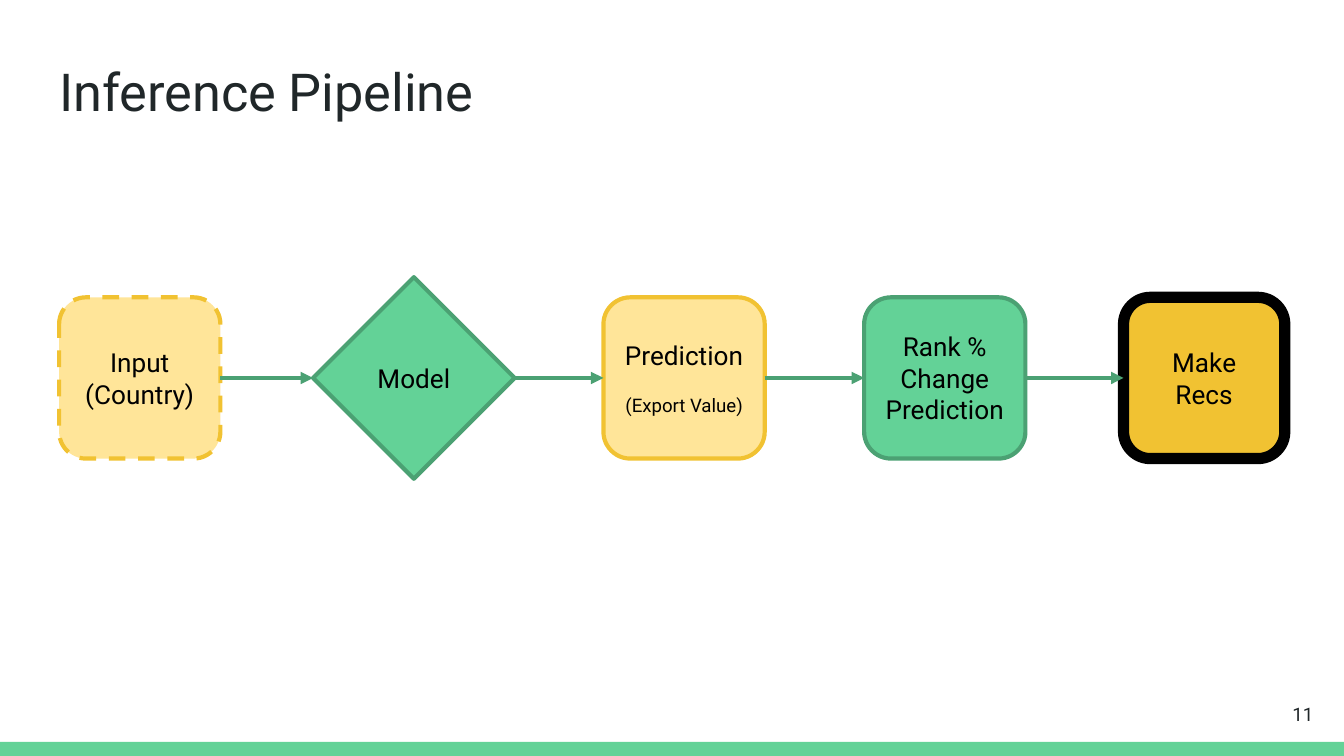
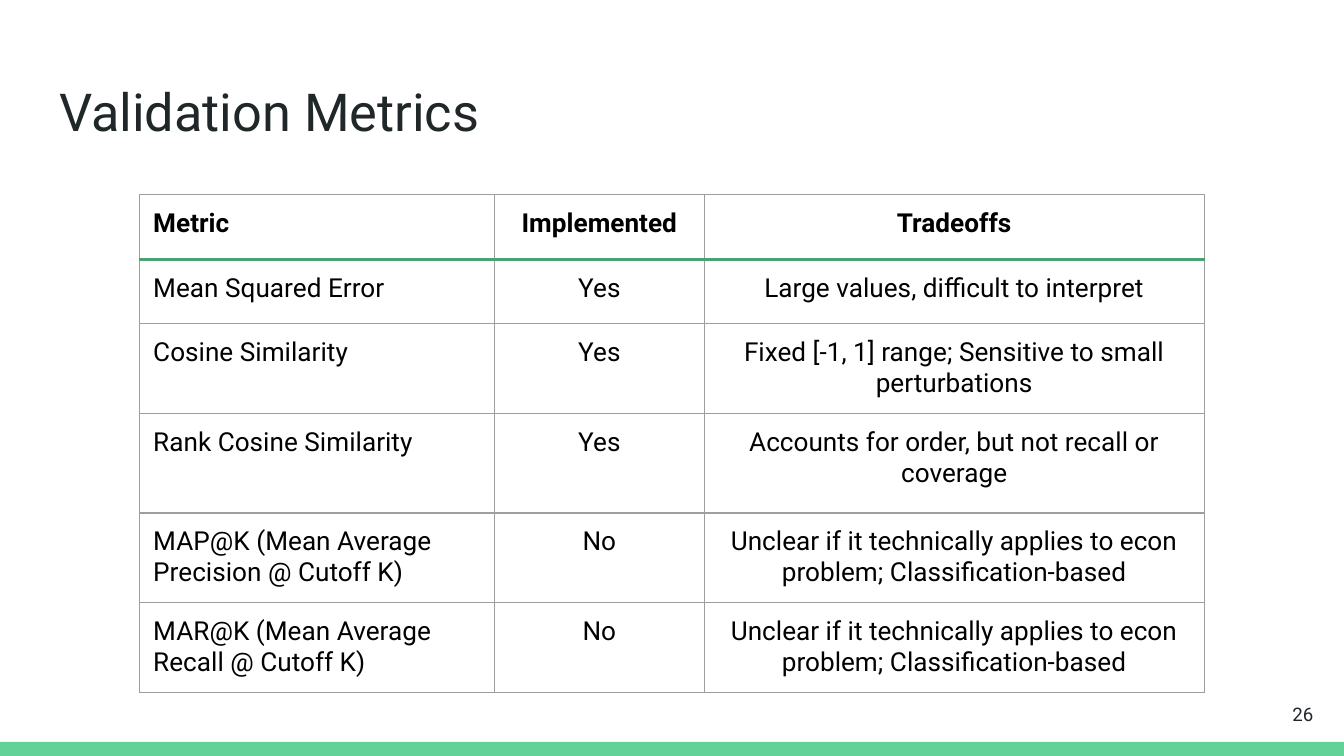
from dataclasses import dataclass
from itertools import pairwise

from lxml.etree import SubElement
from pptx import Presentation
from pptx.dml.color import RGBColor
from pptx.enum.dml import MSO_LINE
from pptx.enum.shapes import MSO_CONNECTOR, MSO_SHAPE
from pptx.enum.text import MSO_ANCHOR, MSO_AUTO_SIZE, PP_ALIGN
from pptx.oxml.ns import qn
from pptx.util import Inches, Pt


@dataclass(frozen=True)
class Theme:
    font: str = "Roboto"
    ink: str = "202729"
    black: str = "000000"
    green: str = "63D297"
    pine: str = "4BA173"
    cream: str = "FFE599"
    gold: str = "F1C232"
    gray: str = "9E9E9E"
    head: float = 28
    body: float = 14
    small: float = 10
    thin: float = 0.75
    line: float = 2.25
    thick: float = 6


LOOK = Theme()
UNIT = Inches(0.1)
WIDE, HIGH = 100, 56.25
PAD = {f"margin_{side}": UNIT for side in ("left", "right", "top", "bottom")}
ROUND = MSO_SHAPE.FLOWCHART_ALTERNATE_PROCESS

STEPS = [
    (4.4, 12, ROUND, LOOK.cream, LOOK.gold, LOOK.line, MSO_LINE.DASH,
     ["Input (Country)"]),
    (23.3, 15, MSO_SHAPE.DIAMOND, LOOK.green, LOOK.pine, LOOK.line, None,
     ["Model"]),
    (44.9, 12, ROUND, LOOK.cream, LOOK.gold, LOOK.line, None,
     ["Prediction", "(Export Value)"]),
    (64.3, 12, ROUND, LOOK.green, LOOK.pine, LOOK.line, None,
     ["Rank % Change Prediction"]),
    (83.6, 12, ROUND, LOOK.gold, LOOK.black, LOOK.thick, None,
     ["Make Recs"]),
]

COLS = [26.4, 15.6, 37.2]
ROWS = [4.8, 4.8, 4.8, 7.4, 4.8, 4.8]
CELLS = [
    ("Metric", "Implemented", "Tradeoffs"),
    ("Mean Squared Error", "Yes", "Large values, difficult to interpret"),
    ("Cosine Similarity", "Yes",
     "Fixed [-1, 1] range; Sensitive to small perturbations"),
    ("Rank Cosine Similarity", "Yes",
     "Accounts for order, but not recall or coverage"),
    ("MAP@K (Mean Average Precision @ Cutoff K)", "No",
     "Unclear if it technically applies to econ problem; Classification-based"),
    ("MAR@K (Mean Average Recall @ Cutoff K)", "No",
     "Unclear if it technically applies to econ problem; Classification-based"),
]


def put(item, form):
    for name, value in form.items():
        setattr(item, name, value)


def grid(*spans):
    return [round(span * UNIT) for span in spans]


def tint(color, code):
    color.rgb = RGBColor.from_string(code)


def paint(fill, code):
    fill.solid()
    tint(fill.fore_color, code)


def write(para, text, size, color, align, bold=False):
    para.text = text
    para.alignment = align
    put(para.font, {"name": LOOK.font, "size": Pt(size), "bold": bold})
    tint(para.font.color, color)


def add_band(deck, slide):
    band = slide.shapes.add_shape(
        MSO_SHAPE.RECTANGLE, *grid(0, HIGH - 1.05, WIDE, 1.05))
    band.shadow.inherit = False
    paint(band.fill, LOOK.green)
    band.line.fill.background()
    band.element.nvSpPr.cNvPr.set("id", "99")
    deck.slide_master.shapes.element.append(band.element)


def add_page(deck, title, top, count):
    slide = deck.slides.add_slide(deck.slide_layouts[5])
    head = slide.shapes.title
    put(head, dict(zip(("left", "top", "width", "height"),
                       grid(3.4, top, 93.2, 6.3))))
    put(head.text_frame, PAD | {"vertical_anchor": MSO_ANCHOR.TOP,
                                "auto_size": MSO_AUTO_SIZE.NONE,
                                "word_wrap": True})
    write(head.text_frame.paragraphs[0], title, LOOK.head, LOOK.ink,
          PP_ALIGN.LEFT)
    note = slide.shapes.add_textbox(*grid(92.7, 51, 6, 4.3)).text_frame
    put(note, PAD | {"vertical_anchor": MSO_ANCHOR.MIDDLE, "word_wrap": True})
    write(note.paragraphs[0], count, LOOK.small, LOOK.ink, PP_ALIGN.RIGHT)
    return slide


def add_step(slide, left, size, kind, fill, edge, width, dash, lines):
    step = slide.shapes.add_shape(
        kind, *grid(left, (HIGH - size) / 2, size, size))
    step.shadow.inherit = False
    paint(step.fill, fill)
    tint(step.line.color, edge)
    put(step.line, {"width": Pt(width), "dash_style": dash})
    frame = step.text_frame
    put(frame, PAD | {"vertical_anchor": MSO_ANCHOR.MIDDLE, "word_wrap": True})
    first, *rest = lines
    write(frame.paragraphs[0], first, LOOK.body, LOOK.black, PP_ALIGN.CENTER)
    for text in rest:
        para = frame.add_paragraph()
        write(para, text, LOOK.small, LOOK.black, PP_ALIGN.CENTER)
        para.space_before = Pt(12)
    return step


def add_link(slide, start, end):
    link = slide.shapes.add_connector(MSO_CONNECTOR.STRAIGHT, 0, 0, 0, 0)
    link.begin_connect(start, 3)
    link.end_connect(end, 1)
    tint(link.line.color, LOOK.pine)
    link.line.width = Pt(LOOK.line)
    form = link.element.spPr
    SubElement(form.find(qn("a:ln")), qn("a:tailEnd"), type="triangle")
    SubElement(form, qn("a:effectLst"))


def edge_cell(cell, row):
    form = cell._tc.get_or_add_tcPr()
    strong = {0: "B", 1: "T"}.get(row)
    for side in "LRTB":
        color, width = ((LOOK.pine, LOOK.line) if side == strong
                        else (LOOK.gray, LOOK.thin))
        line = SubElement(form, qn(f"a:ln{side}"), w=str(Pt(width)))
        fill = SubElement(line, qn("a:solidFill"))
        SubElement(fill, qn("a:srgbClr"), val=color)


def add_grid(slide):
    table = slide.shapes.add_table(
        len(ROWS), len(COLS),
        *grid(10.4, 14.5, sum(COLS), sum(ROWS))).table
    put(table, {"first_row": False, "horz_banding": False})
    for col, width in zip(table.columns, grid(*COLS)):
        col.width = width
    for row, height in zip(table.rows, grid(*ROWS)):
        row.height = height
    for r, texts in enumerate(CELLS):
        for c, text in enumerate(texts):
            cell = table.cell(r, c)
            put(cell, PAD | {"vertical_anchor": MSO_ANCHOR.TOP})
            edge_cell(cell, r)
            cell.fill.background()
            write(cell.text_frame.paragraphs[0], text, LOOK.body, LOOK.black,
                  PP_ALIGN.CENTER if c else PP_ALIGN.LEFT, r == 0)


def main():
    deck = Presentation()
    put(deck, dict(zip(("slide_width", "slide_height"), grid(WIDE, HIGH))))

    flow = add_page(deck, "Inference Pipeline", 3.4, "11")
    add_band(deck, flow)
    steps = [add_step(flow, *step) for step in STEPS]
    for start, end in pairwise(steps):
        add_link(flow, start, end)

    add_grid(add_page(deck, "Validation Metrics", 4.9, "26"))
    deck.save("out.pptx")


if __name__ == "__main__":
    main()
